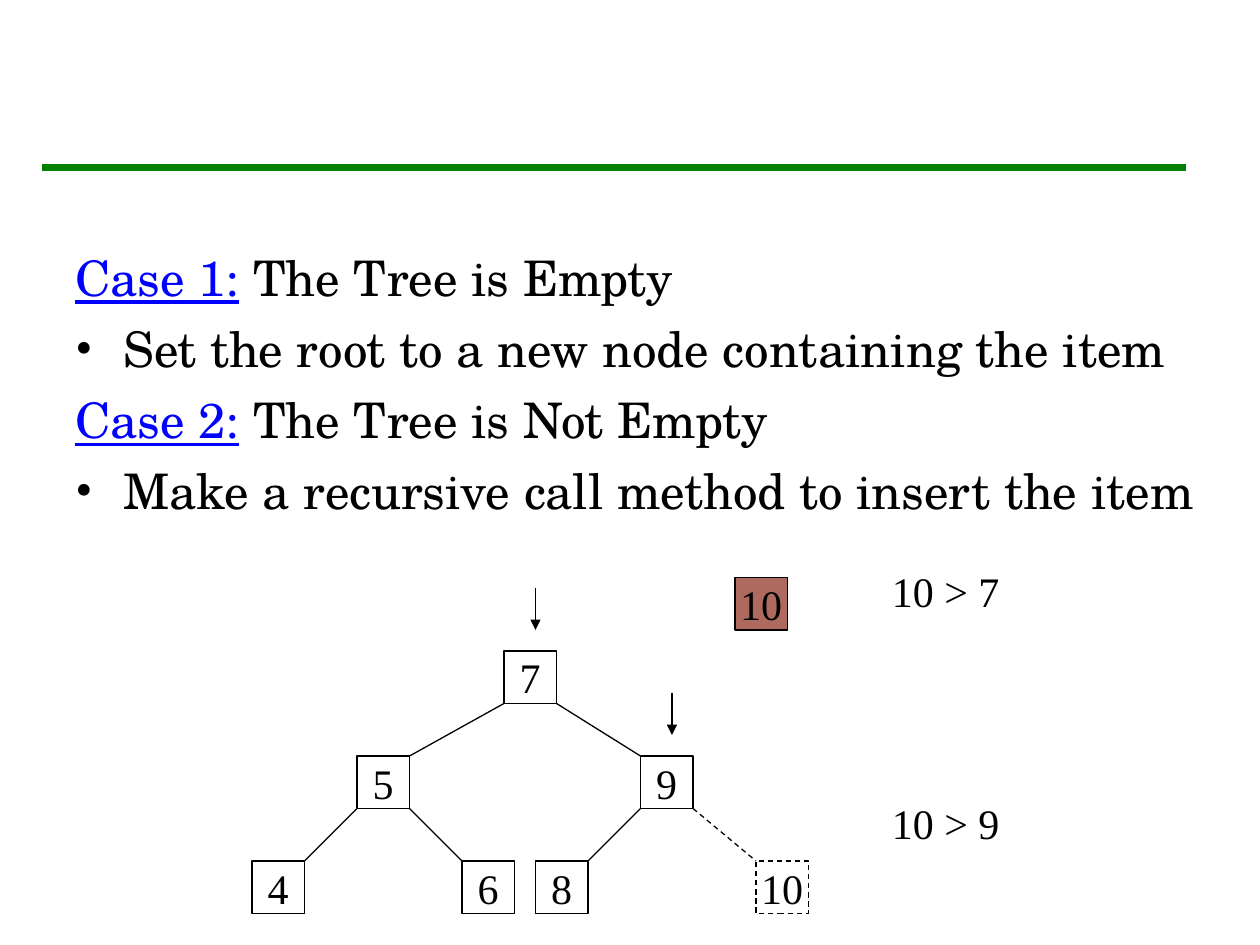
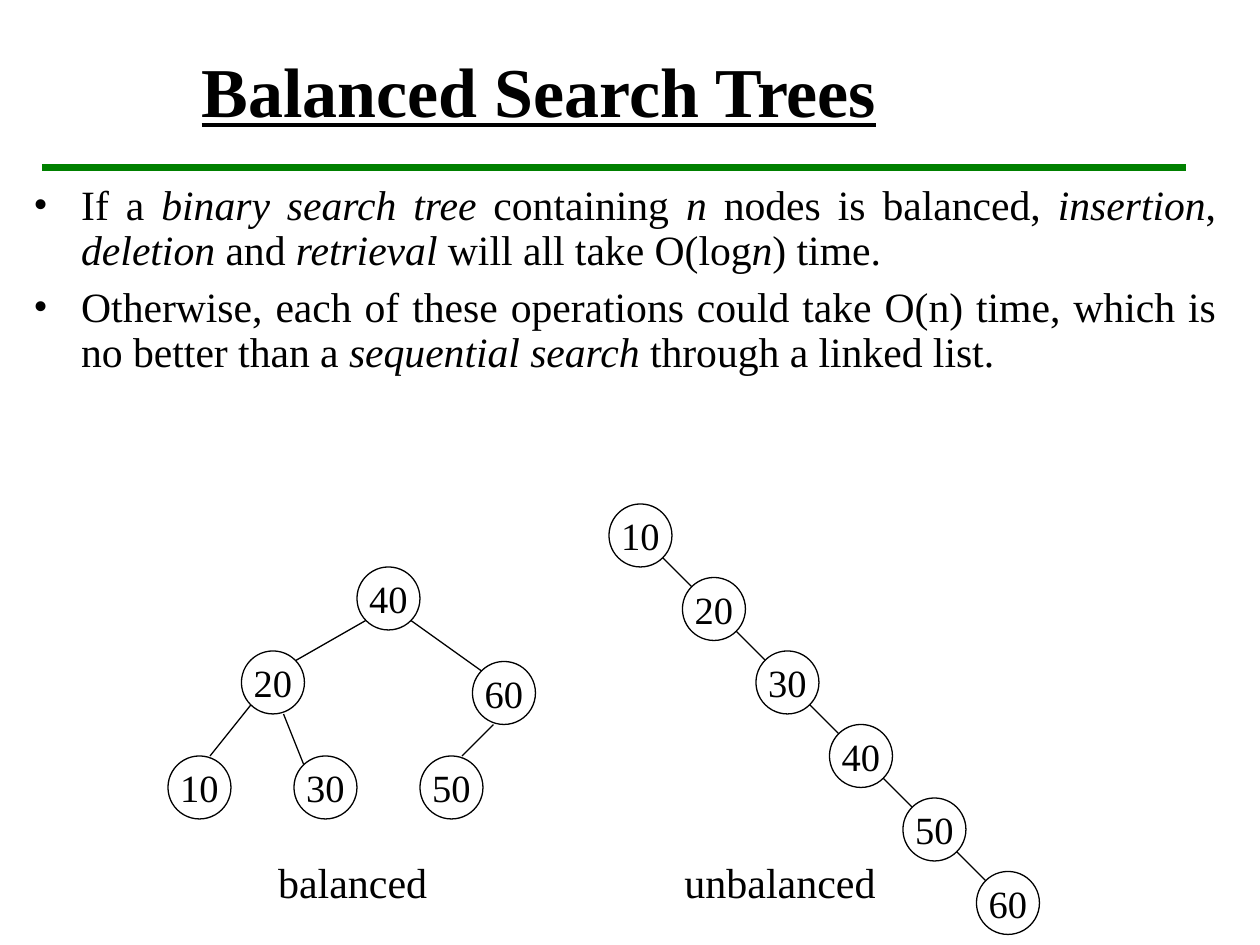
from dataclasses import dataclass

from lxml import etree
from pptx import Presentation
from pptx.dml.color import RGBColor
from pptx.enum.dml import MSO_LINE
from pptx.enum.shapes import MSO_CONNECTOR, MSO_SHAPE
from pptx.enum.text import MSO_ANCHOR, MSO_AUTO_SIZE, PP_ALIGN
from pptx.oxml.ns import qn
from pptx.util import Inches, Pt

STRAIGHT = MSO_CONNECTOR.STRAIGHT
SQUARE, CIRCLE = MSO_SHAPE.RECTANGLE, MSO_SHAPE.OVAL
LEFT, CENTER, JUSTIFY = PP_ALIGN.LEFT, PP_ALIGN.CENTER, PP_ALIGN.JUSTIFY
MIDDLE, TOP = MSO_ANCHOR.MIDDLE, MSO_ANCHOR.TOP
DASH = MSO_LINE.DASH


@dataclass(frozen=True)
class Theme:
    ink: RGBColor = RGBColor(0, 0, 0)
    paper: RGBColor = RGBColor(255, 255, 255)
    rule: RGBColor = RGBColor(0, 128, 0)
    case: RGBColor = RGBColor(0, 0, 255)
    inserted: RGBColor = RGBColor(0xAF, 0x6A, 0x5F)
    serif: str = "Times New Roman"
    school: str = "TeX Gyre Schola"
    title: float = 40
    cases: float = 28
    label: float = 24
    body: float = 23.8
    circle: float = 22
    thin: float = 0.75
    thick: float = 4


THEME = Theme()

presentation = Presentation()
presentation.slide_width, presentation.slide_height = Inches(10), Inches(7.5)

# Everything sits on a grid of 120 columns by 90 rows
CELL = presentation.slide_width / 120


def add_line(slide, start, end, color=THEME.ink, width=THEME.thin, dash=None, arrow=False):
    """Draw a line between two (column, row) points."""
    points = [round(value * CELL) for value in (*start, *end)]
    connector = slide.shapes.add_connector(STRAIGHT, *points)
    connector.line.color.rgb = color
    connector.line.width = Pt(width)
    connector.line.dash_style = dash
    if arrow:
        etree.SubElement(connector.line._get_or_add_ln(), qn("a:tailEnd"), type="triangle")
    etree.SubElement(connector._element.spPr, qn("a:effectLst"))


def write(shape, lines, size, font=THEME.serif, align=LEFT, anchor=MIDDLE, wrap=False,
          before=0, spacing=1.0, hanging=False, emphasis=None):
    """Fill a shape; *starred* parts get the emphasis, "• " starts a bulleted line."""
    frame = shape.text_frame
    frame.auto_size = MSO_AUTO_SIZE.NONE
    frame.word_wrap, frame.vertical_anchor = wrap, anchor
    for index, line in enumerate(lines):
        paragraph = frame.paragraphs[0] if index == 0 else frame.add_paragraph()
        paragraph.alignment = align
        properties = paragraph._p.get_or_add_pPr()
        if hanging:
            properties.set("marL", str(Inches(0.38)))
            properties.set("indent", str(-Inches(0.38)))
        if line.startswith("• "):
            etree.SubElement(properties, qn("a:buFont"), typeface=THEME.serif)
            etree.SubElement(properties, qn("a:buChar"), char="•")
        paragraph.space_before, paragraph.line_spacing = Pt(before), spacing
        paragraph.font.name, paragraph.font.size = font, Pt(size)
        paragraph.font.color.rgb = THEME.ink
        for part, text in enumerate(line.removeprefix("• ").split("*")):
            if not text:
                continue
            run = paragraph.add_run()
            run.text = text
            if part % 2 and emphasis == "case":
                run.font.color.rgb = THEME.case
                run.font.underline = True
            elif part % 2:
                run.font.italic = True


# Slides, with the green rule they share
layouts = presentation.slide_layouts
insertion = presentation.slides.add_slide(layouts.get_by_name("Blank"))
balance = presentation.slides.add_slide(layouts.get_by_name("Title Only"))
for slide in (insertion, balance):
    add_line(slide, (4, 16), (113, 16), THEME.rule, THEME.thick)

# Insertion: links run from a parent's bottom corner to a child's top corner
SIDE = 5
tree = {"7": (48, 62), "5": (34, 72), "9": (61, 72),
        "4": (24, 82), "6": (44, 82), "8": (51, 82), "10": (72, 82)}
for parent, left, right in (("7", "5", "9"), ("5", "4", "6"), ("9", "8", "10")):
    column, row = tree[parent]
    left_column, child_row = tree[left]
    add_line(insertion, (column, row + SIDE), (left_column + SIDE, child_row))
    add_line(insertion, (column + SIDE, row + SIDE), tree[right],
             dash=DASH if right == "10" else None)
for column, row in ((51, 56), (64, 66)):
    add_line(insertion, (column, row), (column, row + 4), arrow=True)

# Balance: tree links, then the chain that steps down the diagonal
STEP = 7
balanced = {"40": (34, 54), "20": (23, 62), "60": (45, 63),
            "10": (16, 72), "30": (28, 72), "50": (40, 72)}
chain = [(58 + STEP * index, 48 + STEP * index) for index in range(6)]
links = [((35, 59), (28, 63)), ((39, 59), (46, 64)), ((24, 67), (20, 72)),
         ((27, 68), (29, 73)), ((47, 69), (44, 72))]
links += [((column + 5, row + 5), (column + 8, row + 8)) for column, row in chain[:-1]]
for start, end in links:
    add_line(balance, start, end)

# Nodes of all trees: slide, outline, side, type size, fill, dash, value, place
nodes = [(insertion, SQUARE, SIDE, THEME.label, None, DASH if value == "10" else None, value, place)
         for value, place in tree.items()]
nodes.append((insertion, SQUARE, SIDE, THEME.label, THEME.inserted, None, "10", (70, 55)))
nodes += [(balance, CIRCLE, 6, THEME.circle, THEME.paper, None, value, place)
          for value, place in balanced.items()]
nodes += [(balance, CIRCLE, 6, THEME.circle, THEME.paper, None, str(10 * number), place)
          for number, place in enumerate(chain, 1)]
for slide, outline, side, size, fill, dash, value, (column, row) in nodes:
    node = slide.shapes.add_shape(
        outline, *(round(length * CELL) for length in (column, row, side, side)))
    node.shadow.inherit = False
    if fill is None:
        node.fill.background()
    else:
        node.fill.solid()
        node.fill.fore_color.rgb = fill
    node.line.color.rgb = THEME.ink
    node.line.width = Pt(THEME.thin)
    node.line.dash_style = dash
    write(node, [value], size, align=CENTER)

# Title
title = balance.shapes.title
title.left, title.top, title.width, title.height = (
    round(length * CELL) for length in (18, 5, 102, 7))
write(title, ["Balanced Search Trees"], THEME.title)
title_font = title.text_frame.paragraphs[0].font
title_font.bold = title_font.underline = True

# Text boxes: slide, place on the grid, lines, format
cases = ["*Case 1:* The Tree is Empty",
         "• Set the root to a new node containing the item",
         "*Case 2:* The Tree is Not Empty",
         "• Make a recursive call method to insert the item"]
costs = ["• If a *binary search tree* containing *n* nodes is balanced, *insertion*, "
         "*deletion* and *retrieval* will all take O(log*n*) time.",
         "• Otherwise, each of these operations could take O(n) time, which is "
         "no better than a* sequential search* through a linked list."]
text_boxes = [
    (insertion, (6, 23, 112, 34), cases,
     dict(size=THEME.cases, font=THEME.school, anchor=TOP, wrap=True, before=7,
          hanging=True, emphasis="case")),
    (insertion, (83.75, 53.25, 26, 35), ["10 > 7", "10 > 9"],
     dict(size=THEME.label, anchor=TOP, wrap=True)),
    (balance, (2, 17, 115, 27), costs,
     dict(size=THEME.body, align=JUSTIFY, anchor=TOP, wrap=True, before=7, spacing=0.9,
          hanging=True)),
    (balance, (25.3, 81, 16.5, 6), ["balanced"], dict(size=THEME.label)),
    (balance, (64, 81, 20.6, 6), ["unbalanced"], dict(size=THEME.label)),
]
for slide, place, lines, text_format in text_boxes:
    box = slide.shapes.add_textbox(*(round(length * CELL) for length in place))
    write(box, lines, **text_format)
    if lines[0] == "10 > 7":
        # The second comparison stands level with the node it is about
        box.text_frame.paragraphs[1].space_before = Pt(104)

presentation.save("out.pptx")
